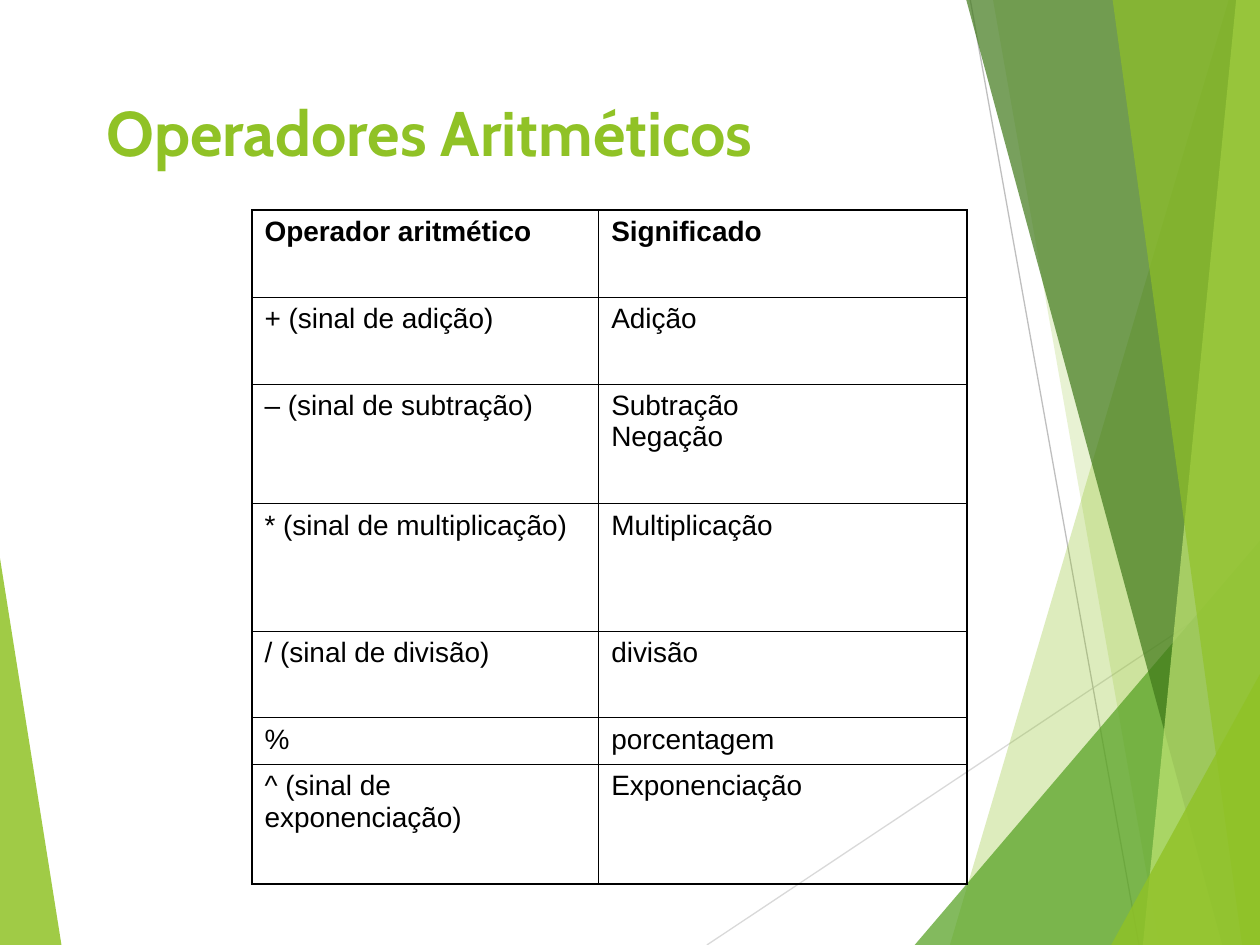
"""Build the slide on arithmetic operators: faceted backdrop, title and table."""
from dataclasses import dataclass

from lxml.etree import SubElement
from pptx import Presentation
from pptx.dml.color import RGBColor as Rgb
from pptx.enum.shapes import MSO_CONNECTOR as Connector
from pptx.enum.text import MSO_ANCHOR as Anchor, MSO_AUTO_SIZE as AutoSize, PP_ALIGN as Align
from pptx.oxml.ns import qn
from pptx.util import Cm, Pt


@dataclass(frozen=True)
class Theme:
    lime: str = "90C226"
    leaf: str = "54A021"
    forest: str = "3F7819"
    pale: str = "C0E474"
    ink: str = "000000"
    silver: str = "BFBFBF"
    mist: str = "D9D9D9"
    title_font: str = "Cabin"
    table_font: str = "Arial"
    title_size: float = 36
    table_size: float = 16
    hairline: float = 0.75
    inner_border: float = 0.45
    outer_border: float = 1.08


THEME = Theme()
WIDTH, HEIGHT = 25.4, 19.05

COLUMNS = (6.99, 7.42)
ROWS = (
    (1.75, "Operador aritmético", "Significado"),
    (1.75, "+ (sinal de adição)", "Adição"),
    (2.41, "– (sinal de subtração)", "Subtração\vNegação"),
    (2.57, "* (sinal de multiplicação)", "Multiplicação"),
    (1.75, "/ (sinal de divisão)", "divisão"),
    (0.94, "%", "porcentagem"),
    (2.41, "^ (sinal de exponenciação)", "Exponenciação"),
)


def apply_format(target, values):
    for name, value in values.items():
        setattr(target, name, value)


def style_spans(frame, font, size, color, bold):
    for para in frame.paragraphs:
        for span in para.runs:
            apply_format(span.font, {"name": font, "size": Pt(size), "bold": bold})
            span.font.color.rgb = Rgb.from_string(color)


def add_facet(page, points, color, opacity):
    corners = [(Cm(x), Cm(y)) for x, y in points]
    builder = page.shapes.build_freeform(*corners[0], scale=1.0)
    builder.add_line_segments(corners[1:], close=True)
    facet = builder.convert_to_shape()
    facet.shadow.inherit = False
    facet.line.fill.background()
    facet.fill.solid()
    facet.fill.fore_color.rgb = Rgb.from_string(color)
    tint = facet.element.spPr.find(f"{qn('a:solidFill')}/{qn('a:srgbClr')}")
    SubElement(tint, qn("a:alpha"), val=str(opacity * 1000))


def add_band(page, top, bottom, color, opacity):
    points = [(top, 0), (bottom, HEIGHT), (WIDTH, HEIGHT), (WIDTH, 0)]
    add_facet(page, points, color, opacity)


def add_corner(page, base, edge, color, opacity):
    points = [(base, HEIGHT), (WIDTH, edge), (WIDTH, HEIGHT)]
    add_facet(page, points, color, opacity)


def add_hairline(page, start, end, color):
    ends = [Cm(value) for value in (*start, *end)]
    line = page.shapes.add_connector(Connector.STRAIGHT, *ends)
    line.line.width = Pt(THEME.hairline)
    line.line.color.rgb = Rgb.from_string(color)
    SubElement(line.element.spPr, qn("a:effectLst"))


def add_backdrop(page):
    add_facet(page, [(0, 11.25), (1.24, HEIGHT), (0, HEIGHT)], THEME.lime, 85)
    add_hairline(page, (14.25, HEIGHT), (WIDTH, 11.63), THEME.mist)
    add_hairline(page, (19.56, 0), (22.96, HEIGHT), THEME.silver)
    add_band(page, 24.77, 19.15, THEME.lime, 30)
    add_band(page, 20.02, 23.37, THEME.lime, 20)
    add_corner(page, 18.44, 10.9, THEME.leaf, 72)
    add_band(page, 19.48, 24.64, THEME.forest, 70)
    add_band(page, 24.92, 23.04, THEME.pale, 70)
    add_band(page, 22.43, 25.04, THEME.lime, 65)
    add_corner(page, 22.4, 13.59, THEME.lime, 80)


def fill_title(page, text):
    title = page.shapes.title
    apply_format(title, {"left": Cm(1.9), "top": Cm(1.7), "width": Cm(21.6), "height": Cm(1.9)})
    frame = title.text_frame
    frame.text = text
    apply_format(frame, {"word_wrap": True, "auto_size": AutoSize.NONE,
                         "vertical_anchor": Anchor.MIDDLE})
    frame.paragraphs[0].alignment = Align.LEFT
    style_spans(frame, THEME.title_font, THEME.title_size, THEME.lime, True)


def set_borders(cell, outer_sides):
    properties = cell._tc.get_or_add_tcPr()
    for side, is_outer in outer_sides.items():
        width = THEME.outer_border if is_outer else THEME.inner_border
        border = SubElement(properties, qn(f"a:ln{side}"), w=str(Pt(width)))
        fill = SubElement(border, qn("a:solidFill"))
        SubElement(fill, qn("a:srgbClr"), val=THEME.ink)


def add_operator_table(page):
    heights = [row[0] for row in ROWS]
    bounds = [Cm(value) for value in (5.08, 4.24, sum(COLUMNS), sum(heights))]
    table = page.shapes.add_table(len(ROWS), len(COLUMNS), *bounds).table
    apply_format(table, {"first_row": False, "horz_banding": False})
    for column, width in zip(table.columns, COLUMNS):
        column.width = Cm(width)
    last_row, last_column = len(ROWS) - 1, len(COLUMNS) - 1
    for r, (height, *texts) in enumerate(ROWS):
        table.rows[r].height = Cm(height)
        for c, text in enumerate(texts):
            cell = table.cell(r, c)
            cell.text = text
            style_spans(cell.text_frame, THEME.table_font, THEME.table_size, THEME.ink, r == 0)
            set_borders(cell, {"L": c == 0, "R": c == last_column,
                               "T": r == 0, "B": r == last_row})
            cell.fill.background()


def main():
    deck = Presentation()
    apply_format(deck, {"slide_width": Cm(WIDTH), "slide_height": Cm(HEIGHT)})
    page = deck.slides.add_slide(deck.slide_layouts.get_by_name("Title Only"))
    add_backdrop(page)
    fill_title(page, "Operadores Aritméticos")
    add_operator_table(page)
    deck.save("out.pptx")


if __name__ == "__main__":
    main()
